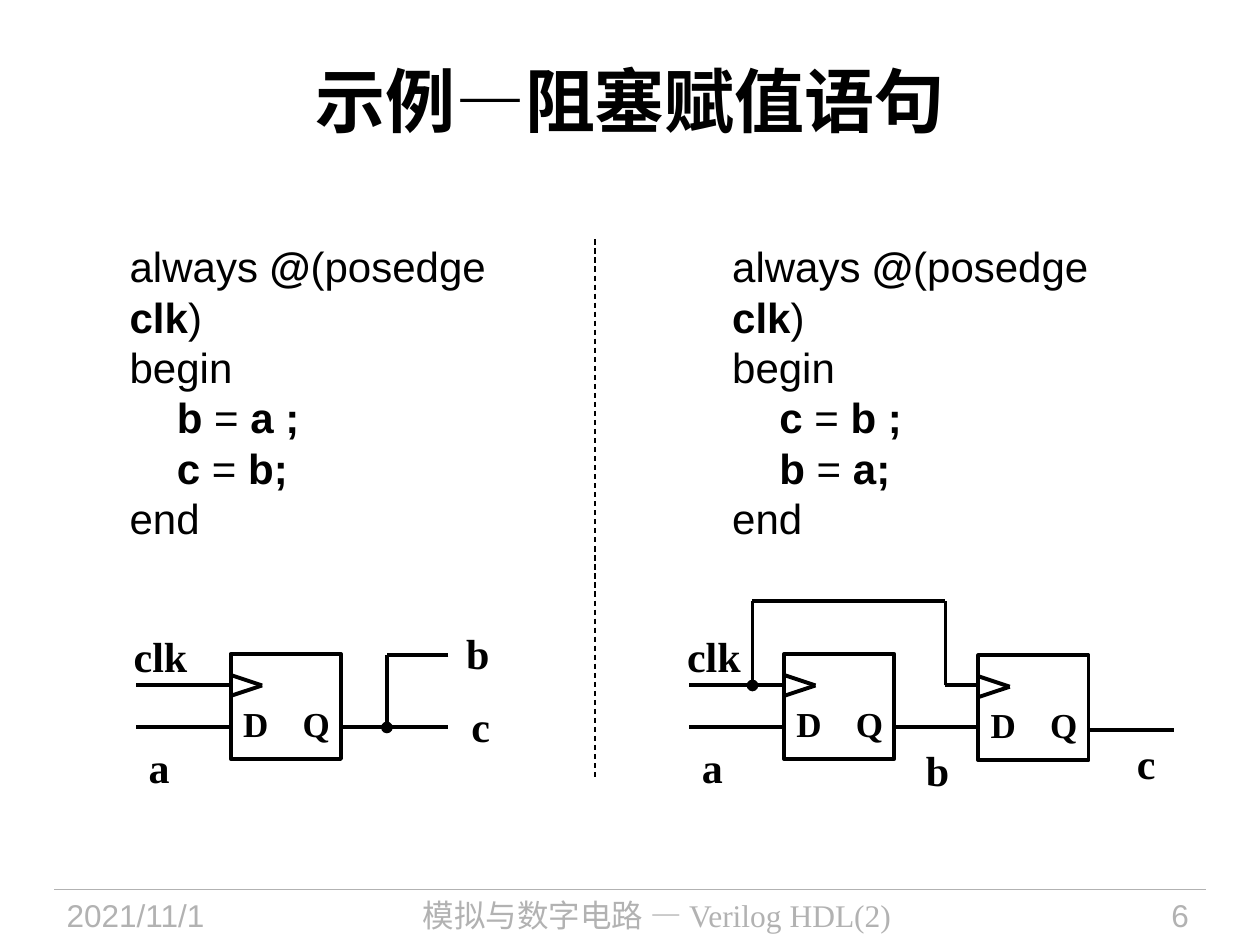
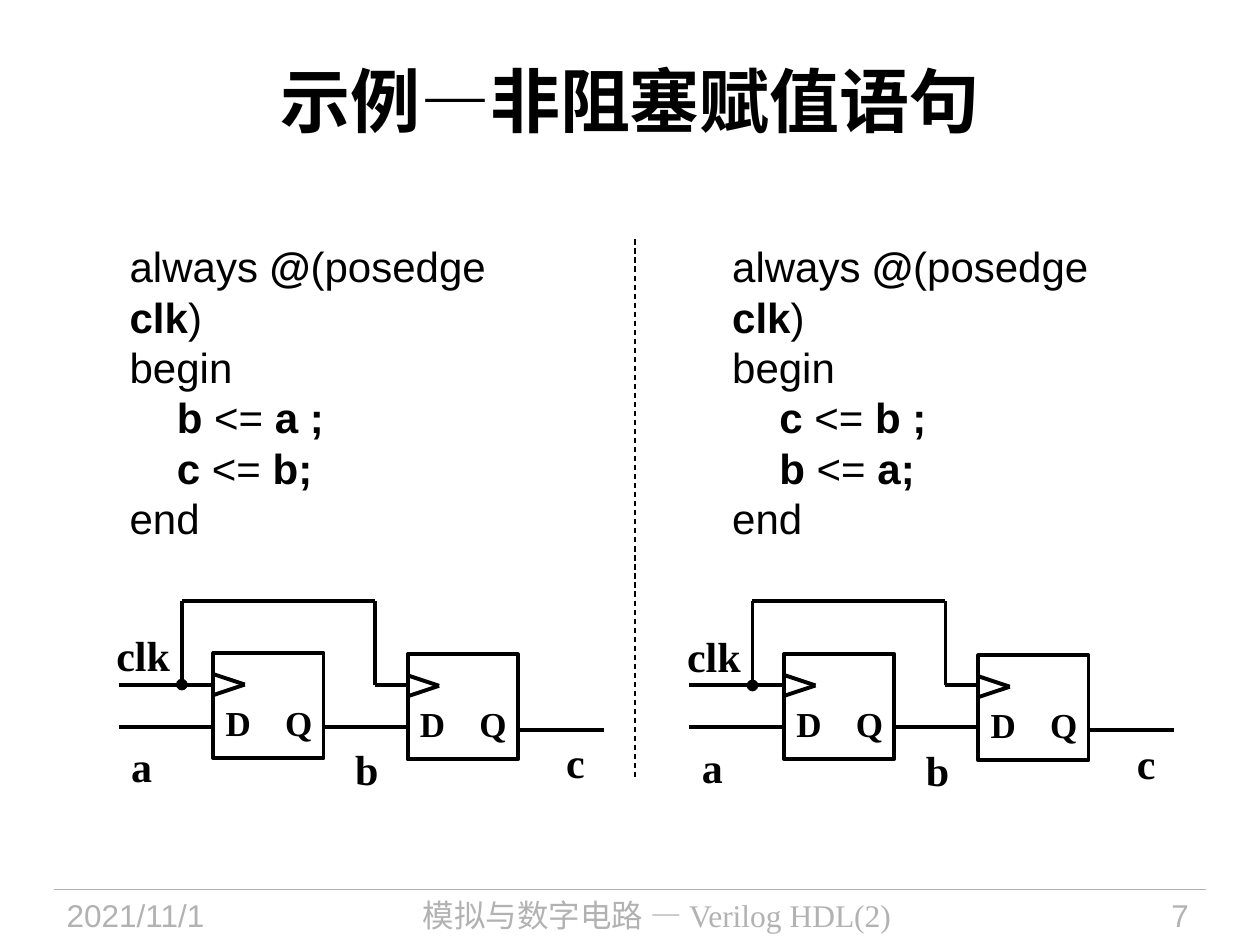
import itertools

import pptx
import pptx.dml.color
import pptx.enum.dml
import pptx.enum.shapes
import pptx.enum.text
import pptx.oxml
import pptx.oxml.ns
import pptx.util

Pt = pptx.util.Pt
ALIGN = pptx.enum.text.PP_ALIGN
ANCHOR = pptx.enum.text.MSO_ANCHOR
BLACK = pptx.dml.color.RGBColor(0x00, 0x00, 0x00)
GRAY = pptx.dml.color.RGBColor(0xB2, 0xB2, 0xB2)
SANS, SERIF = "Arial", "Times New Roman"

FLOP_W, FLOP_H = 63, 60
CLK_Y, DATA_Y = 18, 42  # pin heights below the top of a flip-flop
FLOP_X = 54  # first flip-flop, from the start of the input wires


def write(tf, text, size=24, font=SERIF, color=BLACK, bold=False,
          align=ALIGN.LEFT, indent=0, spacing=None, new=False):
    """Write one paragraph; ** in the text switches bold on and off."""
    p = tf.add_paragraph() if new else tf.paragraphs[0]
    p.alignment = align
    if spacing:
        p.line_spacing = Pt(spacing)
    if indent:
        p._p.get_or_add_pPr().set("marL", str(Pt(indent)))
    for i, part in enumerate(text.split("**")):
        if part:
            r = p.add_run()
            r.text = part
            r.font.size, r.font.name = Pt(size), font
            r.font.color.rgb = color
            r.font.bold = bold or i % 2 == 1


class Deck:
    def __init__(self):
        self.prs = pptx.Presentation()
        self.prs.slide_width, self.prs.slide_height = Pt(720), Pt(540)
        self.shapes = None  # current slide, or the group being drawn

    def slide(self, title, number):
        self.s = self.prs.slides.add_slide(self.prs.slide_layouts[5])
        self.shapes = self.s.shapes
        sp = self.s.shapes.title
        sp.left, sp.top, sp.width, sp.height = Pt(36), Pt(12), Pt(648), Pt(90)
        sp.text_frame.vertical_anchor = ANCHOR.MIDDLE
        write(sp.text_frame, title, size=40, bold=True, align=ALIGN.CENTER)
        self.footer(number)

    def footer(self, number):
        self.line(31, 508.3, 689, 508.3, color=GRAY, width=0.75)
        for x, w, text, font, align in (
                (31, 135, "2021/11/1", SANS, ALIGN.LEFT),
                (173, 405, "模拟与数字电路 — Verilog HDL(2)", SERIF, ALIGN.CENTER),
                (590.4, 96, str(number), SANS, ALIGN.RIGHT)):
            write(self.box(x, 508.3, w, 31.7), text, size=18, font=font,
                  color=GRAY, align=align)

    def box(self, x, y, w, h):
        tf = self.shapes.add_textbox(Pt(x), Pt(y), Pt(w), Pt(h)).text_frame
        tf.word_wrap = True
        return tf

    def label(self, text, x, y, w=24, h=36, size=24):
        write(self.box(x, y, w, h), text, size=size, bold=True)

    def line(self, x1, y1, x2, y2, color=BLACK, width=2.25, dash=False, dot=False):
        c = self.shapes.add_connector(pptx.enum.shapes.MSO_CONNECTOR.STRAIGHT,
                                      Pt(x1), Pt(y1), Pt(x2), Pt(y2))
        c.line.color.rgb, c.line.width = color, Pt(width)
        if dash:
            c.line.dash_style = pptx.enum.dml.MSO_LINE.DASH
        if dot:
            end = pptx.oxml.parse_xml(
                '<a:tailEnd %s type="oval"/>' % pptx.oxml.ns.nsdecls("a"))
            c.line._get_or_add_ln().append(end)
        c._element.spPr.append(pptx.oxml.parse_xml(
            "<a:effectLst %s/>" % pptx.oxml.ns.nsdecls("a")))

    def wire(self, x, y, *points, dot=False):
        """Join points, given from the origin x, y; a dot marks the end."""
        pairs = list(itertools.pairwise(points))
        for i, ((x1, y1), (x2, y2)) in enumerate(pairs, 1):
            self.line(x + x1, y + y1, x + x2, y + y2, dot=dot and i == len(pairs))

    def code(self, x, first, second):
        tf = self.box(x, 134, 240, 181.4)
        rows = (("always** @**(posedge** clk**)", 0), ("begin", 0),
                (first, 27), (second, 27), ("end", 0))
        for i, (text, indent) in enumerate(rows):
            write(tf, text, font=SANS, indent=indent, spacing=28.8, new=i > 0)

    def divider(self, x):
        self.line(x, 136.8, x, 445.7, width=0.75, dash=True)

    def flop(self, x, y):
        sp = self.shapes.add_shape(pptx.enum.shapes.MSO_SHAPE.RECTANGLE,
                                   Pt(x), Pt(y), Pt(FLOP_W), Pt(FLOP_H))
        sp.shadow.inherit = False
        sp.fill.background()
        sp.line.color.rgb, sp.line.width = BLACK, Pt(2.25)
        self.wire(x, y, (0, CLK_Y - 6), (18, CLK_Y), (0, CLK_Y + 6))
        self.label("D", x, y + 24, w=34, h=31, size=20)
        self.label("Q", x + 34, y + 24, h=31, size=20)

    def inputs(self, x, y):
        """First flip-flop with its clock and data wires."""
        self.flop(x + FLOP_X, y)
        for pin in (CLK_Y, DATA_Y):
            self.wire(x, y, (0, pin), (FLOP_X, pin))
        self.label("clk", x - 8.5, y - 17, w=48)
        self.label("a", x, y + 46.5)

    def one_flop(self, x, y):
        self.shapes = self.s.shapes.add_group_shape().shapes
        self.inputs(x, y)
        self.wire(x, y, (FLOP_X + FLOP_W, DATA_Y), (178.5, DATA_Y))
        self.wire(x, y, (178.5, 0.7), (143.3, 0.7), (143.3, DATA_Y), dot=True)
        self.label("b", x + 181.5, y - 18.5)
        self.label("c", x + 184.5, y + 23)
        self.shapes = self.s.shapes

    def two_flops(self, x, y):
        second = 165
        self.shapes = self.s.shapes.add_group_shape().shapes
        self.inputs(x, y)
        self.flop(x + second, y + 0.7)
        self.wire(x, y, (FLOP_X + FLOP_W, DATA_Y), (second, DATA_Y))
        self.wire(x, y, (second, CLK_Y), (146.3, CLK_Y), (146.3, -30), (36, -30),
                  (36, CLK_Y), dot=True)
        self.wire(x, y, (second + FLOP_W, 43.7), (277, 43.7))
        self.label("b", x + 128, y + 48.3)
        self.label("c", x + 248.5, y + 44)
        self.shapes = self.s.shapes


LEFT_CODE, RIGHT_CODE = 67, 411.3
RIGHT_CIRCUIT = (394, 373.7)
deck = Deck()

# Blocking assignment: the order of statements changes the circuit
deck.slide("示例—阻塞赋值语句", 6)
deck.code(LEFT_CODE, "**b** = **a ;**", "**c** = **b;**")
deck.code(RIGHT_CODE, "**c** = **b ;**", "**b** = **a;**")
deck.divider(340)
deck.one_flop(77.8, 373.7)
deck.two_flops(*RIGHT_CIRCUIT)

# Non-blocking assignment: both orders give the same circuit
deck.slide("示例—非阻塞赋值语句", 7)
deck.code(LEFT_CODE, "**b** <= **a ;**", "**c** <= **b;**")
deck.code(RIGHT_CODE, "**c** <= **b ;**", "**b** <= **a;**")
deck.divider(362.9)
deck.two_flops(67.9, 373.2)
deck.two_flops(*RIGHT_CIRCUIT)

deck.prs.save("out.pptx")
